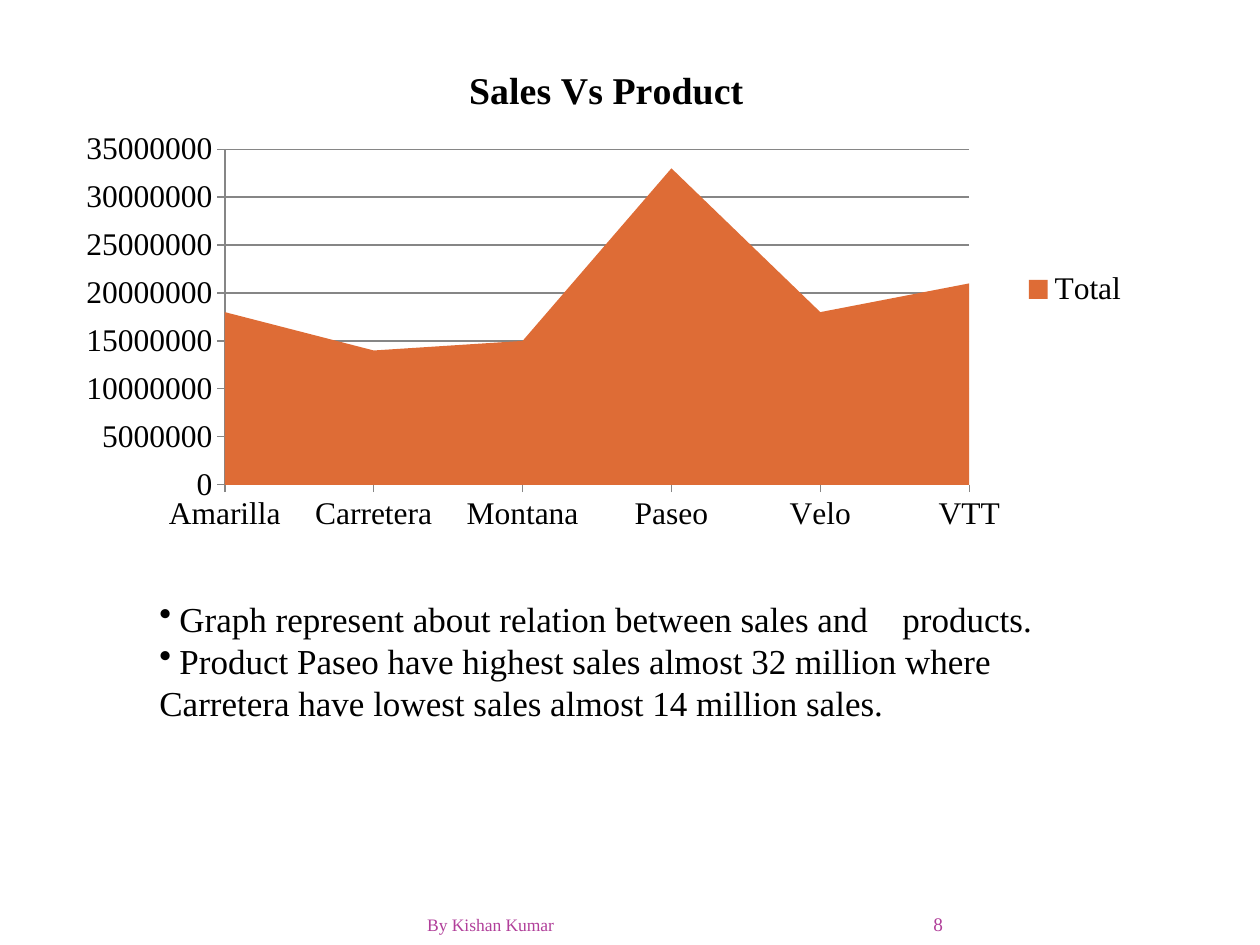
from dataclasses import dataclass

from lxml.etree import SubElement
from pptx import Presentation
from pptx.chart.data import CategoryChartData
from pptx.dml.color import RGBColor
from pptx.enum.chart import XL_CHART_TYPE, XL_LEGEND_POSITION, XL_TICK_MARK
from pptx.enum.text import MSO_ANCHOR, PP_ALIGN
from pptx.oxml import parse_xml
from pptx.oxml.ns import nsdecls, qn
from pptx.util import Emu, Pt

PX = 914400 // 126


@dataclass(frozen=True)
class Theme:
    font: str = "Times New Roman"
    ink: RGBColor = RGBColor(0, 0, 0)
    area: RGBColor = RGBColor(0xDE, 0x6C, 0x36)
    grid: RGBColor = RGBColor(0x86, 0x86, 0x86)
    foot: RGBColor = RGBColor(0xB1, 0x3F, 0x9A)
    title: float = 21.6
    label: int = 18
    body: int = 20
    author: int = 10
    number: int = 11


THEME = Theme()
SALES = {
    "Amarilla": 18000000,
    "Carretera": 14000000,
    "Montana": 15000000,
    "Paseo": 33000000,
    "Velo": 18000000,
    "VTT": 21000000,
}
NOTES = [
    (True, "Graph represent about relation between sales and\tproducts."),
    (True, "Product Paseo have highest sales almost 32 million where"),
    (False, "Carretera have lowest sales almost 14 million sales."),
]


def scale(box):
    return [Emu(n * PX) for n in box]


def style(font, size, color, bold=False):
    font.name, font.size, font.bold = THEME.font, Pt(size), bold
    font.color.rgb = color


def layout(target=None, **parts):
    """Return a manual chart layout; parts are fractions of the chart."""
    inner = f'<c:layoutTarget val="{target}"/>' if target else ""
    inner += "".join(f'<c:{k}Mode val="edge"/>' for k in "xy")
    inner += "".join(f'<c:{k} val="{v}"/>' for k, v in parts.items())
    return parse_xml(
        f'<c:layout {nsdecls("c")}><c:manualLayout>{inner}</c:manualLayout></c:layout>'
    )


def place(parent, new):
    """Put the layout in its schema position, replacing any earlier one."""
    for old in parent.findall(qn("c:layout")):
        parent.remove(old)
    text = parent.find(qn("c:tx"))
    parent.insert(0 if text is None else 1, new)


def add_sales(slide, box):
    data = CategoryChartData(number_format="0")
    data.categories = list(SALES)
    data.add_series("Total", list(SALES.values()))
    chart = slide.shapes.add_chart(
        XL_CHART_TYPE.AREA_STACKED, *scale(box), data
    ).chart
    style(chart.font, THEME.label, THEME.ink)

    chart.has_title = True
    run = chart.chart_title.text_frame.paragraphs[0].add_run()
    run.text = "Sales Vs Product"
    style(run.font, THEME.title, THEME.ink, True)
    place(chart.chart_title._element, layout(x=0.37, y=0.04))

    chart.has_legend = True
    chart.legend.position = XL_LEGEND_POSITION.RIGHT
    chart.legend.include_in_layout = False

    plot = chart.plots[0]
    plot.vary_by_categories = False
    fill = plot.series[0].format.fill
    fill.solid()
    fill.fore_color.rgb = THEME.area

    values = chart.value_axis
    values.minimum_scale, values.maximum_scale = 0, 35000000
    values.major_unit = 5000000
    values.has_major_gridlines = True
    values._element.find(qn("c:crossBetween")).set("val", "midCat")
    lines = [values.major_gridlines.format.line]
    for axis in (values, chart.category_axis):
        axis.major_tick_mark = XL_TICK_MARK.OUTSIDE
        axis.minor_tick_mark = XL_TICK_MARK.NONE
        lines.append(axis.format.line)
    for line in lines:
        line.color.rgb = THEME.grid
        line.width = Pt(0.75)
    area = chart._chartSpace.chart.plotArea
    place(area, layout("inner", x=0.15, y=0.22, w=0.69, h=0.67))


def add_notes(slide, box):
    frame = slide.shapes.add_textbox(*scale(box)).text_frame
    frame.word_wrap = True
    for i, (bullet, text) in enumerate(NOTES):
        para = frame.add_paragraph() if i else frame.paragraphs[0]
        run = para.add_run()
        run.text = text
        style(run.font, THEME.body, THEME.ink)
        if bullet:
            props = para._p.get_or_add_pPr()
            props.set("marL", str(20 * PX))
            props.set("indent", str(-20 * PX))
            SubElement(props, qn("a:buChar"), char="•")
        if "\t" in text:
            tabs = SubElement(props, qn("a:tabLst"))
            SubElement(tabs, qn("a:tab"), pos=str(743 * PX), algn="l")


def add_foot(slide, box, text, size, inset):
    frame = slide.shapes.add_textbox(*scale(box)).text_frame
    frame.word_wrap = True
    frame.vertical_anchor = MSO_ANCHOR.BOTTOM
    frame.margin_top = frame.margin_bottom = 0
    frame.margin_left = frame.margin_right = Emu(inset * PX)
    para = frame.paragraphs[0]
    para.alignment = PP_ALIGN.RIGHT
    run = para.add_run()
    run.text = text
    style(run.font, size, THEME.foot)


def main():
    deck = Presentation()
    deck.slide_width, deck.slide_height = scale((1260, 945))
    slide = deck.slides.add_slide(deck.slide_layouts[6])
    add_sales(slide, (63, 39, 1079, 501))
    add_notes(slide, (147, 591, 965, 183))
    add_foot(slide, (862, 903, 81, 32), "8", THEME.number, 0)
    add_foot(slide, (63, 903, 504, 32), "By Kishan Kumar", THEME.author, 13)
    deck.save("out.pptx")


if __name__ == "__main__":
    main()
